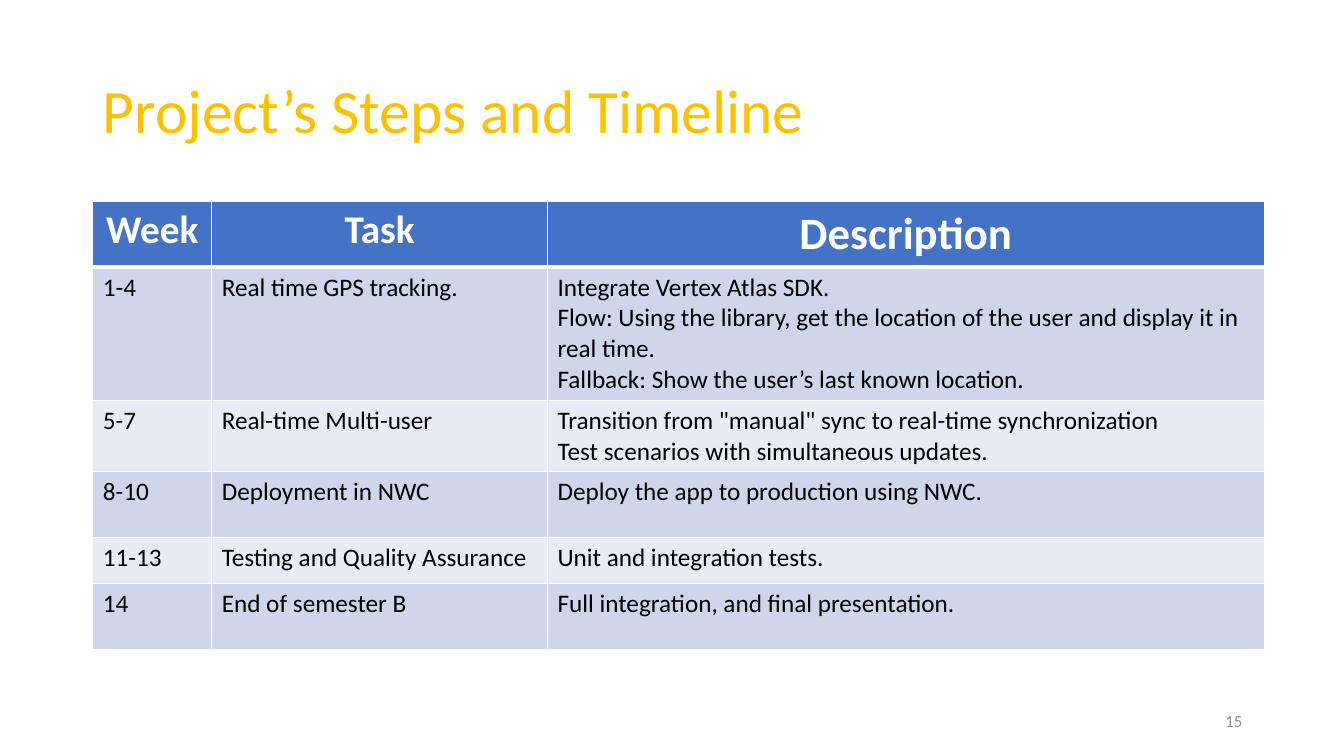
from dataclasses import dataclass

from lxml import etree
from pptx import Presentation
from pptx import util as u
from pptx.dml.color import RGBColor
from pptx.enum import text
from pptx.oxml import ns

TITLE = "Project’s Steps and Timeline"
PAGE_NUMBER = "15"
HEADERS = ["Week", "Task", "Description"]
STEPS = [
    ("1-4", "Real time GPS tracking.",
     "Integrate Vertex Atlas SDK.\n"
     "Flow: Using the library, get the location of the user and display it in real time.\n"
     "Fallback: Show the user’s last known location."),
    ("5-7", "Real-time Multi-user",
     'Transition from "manual" sync to real-time synchronization\n'
     "Test scenarios with simultaneous updates."),
    ("8-10", "Deployment in NWC", "Deploy the app to production using NWC."),
    ("11-13", "Testing and Quality Assurance", "Unit and integration tests."),
    ("14", "End of semester B", "Full integration, and final presentation."),
]
COLUMN_WIDTHS = [1.18, 3.33, 7.11]
ROW_HEIGHTS = [0.65, 1.31, 0.71, 0.65, 0.46, 0.65]


@dataclass(frozen=True)
class Theme:
    font: str = "Calibri"
    title: str = "FFC000"
    header: str = "4472C4"
    bands: tuple = ("CFD5EA", "E9EBF5")
    white: str = "FFFFFF"
    ink: str = "000000"
    muted: str = "8C8C8C"
    title_size: int = 44
    header_sizes: tuple = (28, 28, 32)
    body_size: int = 18
    number_size: int = 12


THEME = Theme()


def style(p, size, color, align, bold=False):
    p.alignment = align
    p.font.name = THEME.font
    p.font.size = u.Pt(size)
    p.font.bold = bold
    p.font.color.rgb = RGBColor.from_string(color)


def place(sp, left, top, width, height):
    sp.left, sp.top, sp.width, sp.height = map(u.Inches, (left, top, width, height))


def add_borders(cell, bottom_width):
    tc_pr = cell._tc.get_or_add_tcPr()
    for side, width in (("L", 1), ("R", 1), ("T", 1), ("B", bottom_width)):
        line = etree.SubElement(tc_pr, ns.qn(f"a:ln{side}"), w=str(u.Pt(width)))
        fill = etree.SubElement(line, ns.qn("a:solidFill"))
        etree.SubElement(fill, ns.qn("a:srgbClr"), val=THEME.white)


def fill_cell(cell, content, fill, size, color, align, bold, bottom_width):
    add_borders(cell, bottom_width)
    cell.fill.solid()
    cell.fill.fore_color.rgb = RGBColor.from_string(fill)
    cell.text = content
    for p in cell.text_frame.paragraphs:
        style(p, size, color, align, bold)


def add_title(s):
    sp = s.shapes.title
    place(sp, 0.92, 0.4, 11.5, 1.45)
    tf = sp.text_frame
    tf.text = TITLE
    tf.vertical_anchor = text.MSO_ANCHOR.MIDDLE
    p = tf.paragraphs[0]
    style(p, THEME.title_size, THEME.title, text.PP_ALIGN.LEFT)
    p.line_spacing = 0.9


def add_timeline(s):
    rows = [HEADERS, *STEPS]
    frame = s.shapes.add_table(
        len(rows), len(HEADERS), u.Inches(0.92), u.Inches(2),
        u.Inches(sum(COLUMN_WIDTHS)), u.Inches(sum(ROW_HEIGHTS)))
    table = frame.table
    for column, width in zip(table.columns, COLUMN_WIDTHS):
        column.width = u.Inches(width)
    for row, height in zip(table.rows, ROW_HEIGHTS):
        row.height = u.Inches(height)
    for i, row in enumerate(rows):
        for j, content in enumerate(row):
            cell = table.cell(i, j)
            if i == 0:
                fill_cell(cell, content, THEME.header, THEME.header_sizes[j],
                          THEME.white, text.PP_ALIGN.CENTER, True, 3)
            else:
                fill_cell(cell, content, THEME.bands[(i - 1) % 2], THEME.body_size,
                          THEME.ink, text.PP_ALIGN.LEFT, False, 1)


def add_page_number(s):
    sp = s.shapes.add_textbox(*map(u.Inches, (9.42, 6.95, 3, 0.4)))
    tf = sp.text_frame
    tf.word_wrap = True
    tf.vertical_anchor = text.MSO_ANCHOR.MIDDLE
    tf.text = PAGE_NUMBER
    style(tf.paragraphs[0], THEME.number_size, THEME.muted, text.PP_ALIGN.RIGHT)


def main():
    prs = Presentation()
    prs.slide_width, prs.slide_height = u.Inches(13.33), u.Inches(7.5)
    s = prs.slides.add_slide(prs.slide_layouts.get_by_name("Title Only"))
    add_title(s)
    add_timeline(s)
    add_page_number(s)
    prs.save("out.pptx")


if __name__ == "__main__":
    main()
